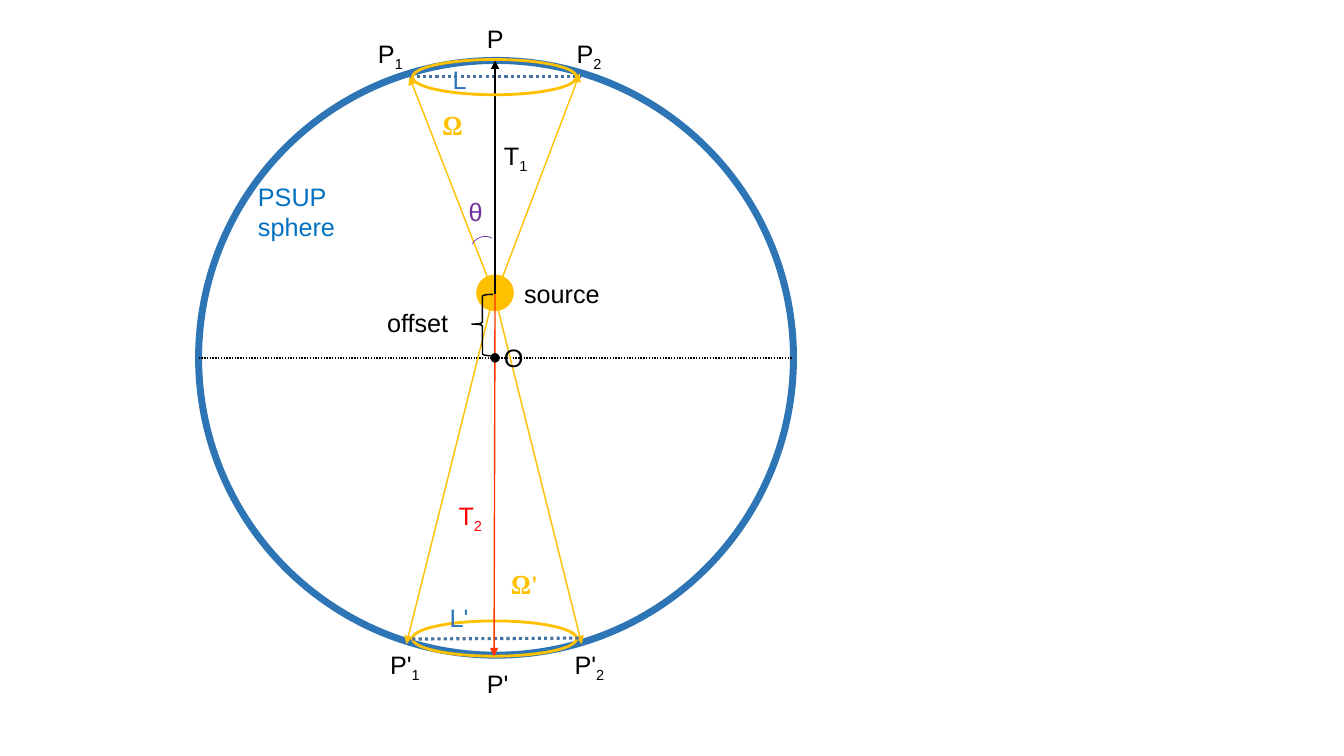
from dataclasses import dataclass
from typing import Optional, Union

from lxml import etree
from pptx import Presentation
from pptx import util as u
from pptx.dml.color import RGBColor
from pptx.enum import dml, shapes, text
from pptx.oxml import ns

PX = 9144
BLACK = RGBColor(0x00, 0x00, 0x00)
RED = RGBColor(0xFF, 0x00, 0x00)
ORANGE_RED = RGBColor(0xFF, 0x33, 0x00)
GOLD = RGBColor(0xFF, 0xC0, 0x00)
PURPLE = RGBColor(0x70, 0x30, 0xA0)
SPHERE_BLUE = RGBColor(0x2E, 0x75, 0xB6)
CHORD_BLUE = RGBColor(0x43, 0x73, 0x9E)
TITLE_BLUE = RGBColor(0x00, 0x70, 0xC0)
KIND = shapes.MSO_SHAPE


@dataclass
class Outline:
    """A preset shape with a coloured line and an optional solid fill."""
    x: int
    y: int
    w: int
    h: int
    color: RGBColor
    weight: float = 1
    fill: Optional[RGBColor] = None
    kind: KIND = KIND.OVAL


@dataclass
class Segment:
    """A straight line, dotted or ending in an arrowhead."""
    x1: int
    y1: int
    x2: int
    y2: int
    color: RGBColor
    weight: float = 1
    dotted: bool = False
    arrow: bool = False


@dataclass
class Label:
    """A caption whose subscript follows an underscore."""
    words: str
    x: int
    y: int
    w: int
    h: int = 40
    color: RGBColor = BLACK
    font: str = "Arial"
    bold: bool = False


def ray(x1: int, y1: int, x2: int, y2: int, color: RGBColor = GOLD) -> Segment:
    """Return a thin arrow."""
    return Segment(x1, y1, x2, y2, color, arrow=True)


DIAGRAM: list[Union[Outline, Segment]] = [
    Outline(197, 60, 590, 590, SPHERE_BLUE, 5),
    Segment(197, 355, 786, 355, BLACK, dotted=True),
    ray(490, 292, 406, 76),
    ray(492, 292, 575, 73),
    Outline(473, 273, 36, 35, GOLD, fill=GOLD),
    ray(490, 291, 577, 639),
    ray(490, 291, 403, 639),
    Segment(407, 76, 575, 76, CHORD_BLUE, 2.25, dotted=True),
    Outline(409, 616, 163, 35, GOLD, 2),
    Segment(409, 634, 577, 633, CHORD_BLUE, 2.25, dotted=True),
    ray(491, 292, 491, 60, BLACK),
    ray(491, 292, 490, 651, ORANGE_RED),
    Outline(409, 59, 163, 35, GOLD, 2),
    Outline(487, 351, 8, 8, BLACK, fill=BLACK),
]
ANGLE_ARC = Outline(466, 234, 28, 31, PURPLE, 0.5, kind=KIND.ARC)
OFFSET_BRACE = Outline(468, 292, 21, 61, BLACK, kind=KIND.LEFT_BRACE)

LABELS = [
    Label("T_1", 490, 134, 46),
    Label("T_2", 445, 491, 46, color=RED),
    Label("O", 490, 335, 40),
    Label("source", 510, 271, 103),
    Label("P_1", 365, 33, 45),
    Label("P_2", 562, 33, 45),
    Label("P", 473, 18, 35),
    Label("P'", 473, 658, 42),
    Label("P'_1", 377, 639, 52),
    Label("P'_2", 560, 639, 52),
    Label("L", 439, 59, 34, color=SPHERE_BLUE),
    Label("L'", 436, 593, 41, color=SPHERE_BLUE),
    Label("Ω", 429, 105, 39, color=GOLD, font="Cambria", bold=True),
    Label("Ω'", 497, 560, 47, color=GOLD, font="Cambria", bold=True),
    Label("θ", 455, 190, 35, color=PURPLE),
    Label("offset", 374, 300, 91),
    Label("PSUP\nsphere", 246, 175, 105, 71, TITLE_BLUE),
]


def add_outline(slide, o: Outline):
    """Draw a preset shape and return it."""
    sp = slide.shapes.add_shape(o.kind, o.x * PX, o.y * PX, o.w * PX, o.h * PX)
    sp.shadow.inherit = False
    if o.fill is None:
        sp.fill.background()
    else:
        sp.fill.solid()
        sp.fill.fore_color.rgb = o.fill
    sp.line.color.rgb = o.color
    sp.line.width = u.Pt(o.weight)
    return sp


def add_segment(slide, s: Segment) -> None:
    """Draw a straight connector."""
    cxn = slide.shapes.add_connector(
        shapes.MSO_CONNECTOR.STRAIGHT, s.x1 * PX, s.y1 * PX, s.x2 * PX, s.y2 * PX)
    cxn.line.color.rgb = s.color
    cxn.line.width = u.Pt(s.weight)
    if s.dotted:
        cxn.line.dash_style = dml.MSO_LINE.ROUND_DOT
    props = cxn._element.spPr
    if s.arrow:
        etree.SubElement(props.find(ns.qn("a:ln")), ns.qn("a:tailEnd"), type="triangle")
    etree.SubElement(props, ns.qn("a:effectLst"))


def add_run(p, words: str, *, font: str, color: RGBColor, bold: bool = False,
            subscript: bool = False) -> None:
    """Append formatted text to a paragraph."""
    r = p.add_run()
    r.text = words
    r.font.name = font
    r.font.size = u.Pt(18)
    r.font.bold = bold
    r.font.color.rgb = color
    if subscript:
        r.font._element.set("baseline", "-25000")


def add_label(slide, b: Label) -> None:
    """Draw a caption, one paragraph per line."""
    sp = slide.shapes.add_textbox(b.x * PX, b.y * PX, b.w * PX, b.h * PX)
    tf = sp.text_frame
    tf.word_wrap = False
    tf.auto_size = text.MSO_AUTO_SIZE.SHAPE_TO_FIT_TEXT
    for i, line in enumerate(b.words.split("\n")):
        p = tf.add_paragraph() if i else tf.paragraphs[0]
        base, _, sub = line.partition("_")
        add_run(p, base, font=b.font, color=b.color, bold=b.bold)
        if sub:
            add_run(p, sub, font=b.font, color=b.color, bold=b.bold, subscript=True)


def main() -> None:
    """Build the slide and save it."""
    prs = Presentation()
    prs.slide_width, prs.slide_height = u.Inches(13.33), u.Inches(7.5)
    slide = prs.slides.add_slide(prs.slide_layouts[6])
    for item in DIAGRAM:
        if isinstance(item, Outline):
            add_outline(slide, item)
        else:
            add_segment(slide, item)
    for label in LABELS:
        add_label(slide, label)
    arc = add_outline(slide, ANGLE_ARC)
    arc.rotation = 211
    arc._element.spPr.find(ns.qn("a:xfrm")).set("flipV", "1")
    brace = add_outline(slide, OFFSET_BRACE)
    brace.adjustments[0], brace.adjustments[1] = 0.083, 0.484
    prs.save("out.pptx")


if __name__ == "__main__":
    main()
